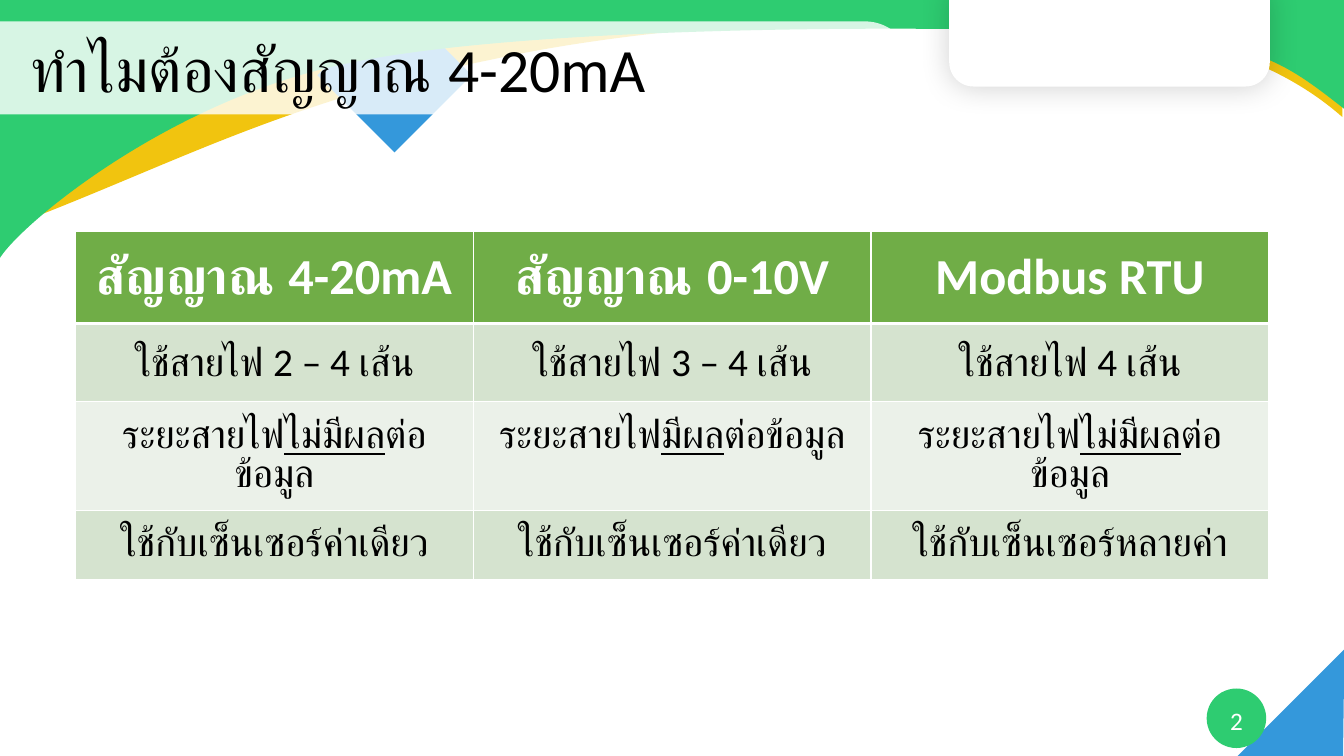
from lxml.etree import SubElement
from pptx import Presentation
from pptx.dml.color import RGBColor
from pptx.enum.shapes import MSO_SHAPE
from pptx.enum.text import MSO_ANCHOR, MSO_AUTO_SIZE, PP_ALIGN
from pptx.oxml import parse_xml
from pptx.oxml.ns import nsdecls, qn
from pptx.util import Cm, Pt

GREEN = RGBColor(0x2E, 0xCC, 0x71)
BLUE = RGBColor(0x34, 0x98, 0xDB)
GOLD = RGBColor(0xF1, 0xC4, 0x0F)
WHITE = RGBColor(0xFF, 0xFF, 0xFF)
BLACK = RGBColor(0, 0, 0)
HEAD = RGBColor(0x70, 0xAD, 0x47)
BANDS = RGBColor(0xD5, 0xE3, 0xCF), RGBColor(0xEB, 0xF1, 0xE9)
FONT = "Calibri"

# Each wave: a start, three Bezier curves (two controls and an end), two corners
GOLD_WAVE = [
    (0.03, 5.79),
    (4.14, 4.27), (6.99, 2.59), (12.4, 1.5),
    (16.81, 0.53), (23.01, 0.3), (26.57, 0.53),
    (30.15, 0.79), (32.33, 1.63), (33.83, 2.95),
    (33.86, -0.28), (-0.03, 0.03),
]
GREEN_WAVE = [
    (-0.03, 6.55),
    (0.41, 5.74), (4.19, 2.54), (8.74, 1.6),
    (13.31, 0.64), (23.19, 0.64), (27.38, 0.81),
    (31.57, 1.02), (32.16, 1.4), (33.87, 2.74),
    (33.87, -0.3), (-0.03, 0),
]

# Text between bars is underlined
ROWS = [
    ["สัญญาณ 4-20mA", "สัญญาณ 0-10V", "Modbus RTU"],
    ["ใช้สายไฟ 2 – 4 เส้น", "ใช้สายไฟ 3 – 4 เส้น", "ใช้สายไฟ 4 เส้น"],
    ["ระยะสายไฟ|ไม่มีผล|ต่อข้อมูล", "ระยะสายไฟ|มีผล|ต่อข้อมูล",
     "ระยะสายไฟ|ไม่มีผล|ต่อข้อมูล"],
    ["ใช้กับเซ็นเซอร์ค่าเดียว", "ใช้กับเซ็นเซอร์ค่าเดียว", "ใช้กับเซ็นเซอร์หลายค่า"],
]
HEIGHTS = [2.31, 1.96, 2.74, 1.73]


def paint(shape, color):
    shape.fill.solid()
    shape.fill.fore_color.rgb = color
    shape.line.fill.background()
    shape.shadow.inherit = False


def add_block(slide, kind, box, color, turn=0):
    shape = slide.shapes.add_shape(kind, *map(Cm, box))
    shape.rotation = turn
    paint(shape, color)
    return shape


def add_run(para, text, size, color, bold=False):
    run = para.add_run()
    run.text = text
    font = run.font
    font.name, font.size, font.bold = FONT, Pt(size), bold
    font.color.rgb = color
    return run


def bend(shape, count):
    """Turn each three of the first line segments into one Bezier curve."""
    lines = shape._element.findall(".//" + qn("a:lnTo"))
    for i in range(0, 3 * count, 3):
        trio = lines[i:i + 3]
        trace = trio[0].getparent()
        arc = SubElement(trace, qn("a:cubicBezTo"))
        trace.replace(trio[0], arc)
        for line in trio:
            arc.append(line[0])
        for line in trio[1:]:
            trace.remove(line)


def add_wave(slide, x, y, wave, color):
    start, *rest = [(Cm(x + a), Cm(y + b)) for a, b in wave]
    form = slide.shapes.build_freeform(*start)
    form.add_line_segments(rest + [start])
    shape = form.convert_to_shape()
    bend(shape, 3)
    paint(shape, color)


def add_banner(slide, box):
    x, y, w, h = box
    add_wave(slide, x, y, GOLD_WAVE, GOLD)
    add_block(slide, MSO_SHAPE.DIAMOND, (x + 8, y - 0.05, 3.89, 3.89), BLUE)
    add_wave(slide, x, y, GREEN_WAVE, GREEN)

    tab = add_block(slide, MSO_SHAPE.ROUND_2_SAME_RECTANGLE,
                    (x + w - 9.95, y - 0.23, 8.08, 2.41), WHITE, 180)
    tab.adjustments[0] = 0.254
    glow = tab._element.spPr.find(qn("a:effectLst"))
    glow.append(parse_xml(
        f'<a:outerShdw {nsdecls("a")} blurRad="{Pt(22)}" dist="0" dir="0">'
        '<a:srgbClr val="000000"><a:alpha val="19000"/></a:srgbClr></a:outerShdw>'))

    bar_w, bar_h = 22.99, 2.34
    mid_x, mid_y = x + bar_w / 2 - 0.02, y + 1.71
    bar = add_block(slide, MSO_SHAPE.ROUND_2_SAME_RECTANGLE,
                    (mid_x - bar_h / 2, mid_y - bar_w / 2, bar_h, bar_w), WHITE, 90)
    bar.adjustments[0] = 0.5
    tint = bar._element.spPr.find(".//" + qn("a:srgbClr"))
    tint.append(parse_xml(f'<a:alpha {nsdecls("a")} val="81000"/>'))


def add_corner(slide, box, number):
    x, y, w, h = box
    add_block(slide, MSO_SHAPE.ISOSCELES_TRIANGLE,
              (x + 0.84, y + 0.1, 3.86, 1.88), BLUE, 135)
    add_block(slide, MSO_SHAPE.OVAL, box, GREEN)
    label = slide.shapes.add_textbox(Cm(x), Cm(y + 0.3), Cm(w), Cm(1.02))
    frame = label.text_frame
    frame.word_wrap = True
    frame.vertical_anchor = MSO_ANCHOR.MIDDLE
    para = frame.paragraphs[0]
    para.alignment = PP_ALIGN.CENTER
    add_run(para, number, 18, WHITE)


def set_title(slide, box, text):
    title = slide.shapes.title
    title.left, title.top, title.width, title.height = map(Cm, box)
    slide.shapes._spTree.append(title._element)  # bring to front
    frame = title.text_frame
    frame.word_wrap = True
    frame.auto_size = MSO_AUTO_SIZE.NONE
    frame.vertical_anchor = MSO_ANCHOR.MIDDLE
    para = frame.paragraphs[0]
    para.alignment = PP_ALIGN.LEFT
    para.line_spacing = 0.9
    add_run(para, text, 44, BLACK)


def add_edges(cell):
    for side, width in zip("LRTB", (1, 1, 1, 3)):
        cell._tc.get_or_add_tcPr().append(parse_xml(
            f'<a:ln{side} {nsdecls("a")} w="{Pt(width)}">'
            f'<a:solidFill><a:srgbClr val="{WHITE}"/></a:solidFill></a:ln{side}>'))


def fill_cell(cell, row, text):
    top = row == 0
    if top:
        add_edges(cell)
    cell.fill.solid()
    cell.fill.fore_color.rgb = HEAD if top else BANDS[(row - 1) % 2]
    cell.margin_left = cell.margin_right = Cm(0.38)
    cell.margin_top = cell.margin_bottom = Cm(0.38)
    para = cell.text_frame.paragraphs[0]
    para.alignment = PP_ALIGN.CENTER
    for i, part in enumerate(text.split("|")):
        run = add_run(para, part, 36 if top else 28, WHITE if top else BLACK, top)
        if i % 2:
            run.font.underline = True


def add_grid(slide, box):
    frame = slide.shapes.add_table(len(ROWS), len(ROWS[0]), *map(Cm, box))
    table = frame.table
    for r, (texts, tall) in enumerate(zip(ROWS, HEIGHTS)):
        table.rows[r].height = Cm(tall)
        for c, text in enumerate(texts):
            fill_cell(table.cell(r, c), r, text)


def main():
    deck = Presentation()
    deck.slide_width, deck.slide_height = Cm(33.87), Cm(19.05)
    slide = deck.slides.add_slide(deck.slide_layouts[5])
    add_corner(slide, (30.41, 17.35, 1.5, 1.5), "2")
    add_banner(slide, (0, 0, 33.87, 6.55))
    set_title(slide, (0.51, 0.38, 30.94, 2.9), "ทำไมต้องสัญญาณ 4-20mA")
    add_grid(slide, (1.9, 5.84, 30.08, sum(HEIGHTS)))
    deck.save("out.pptx")


if __name__ == "__main__":
    main()
